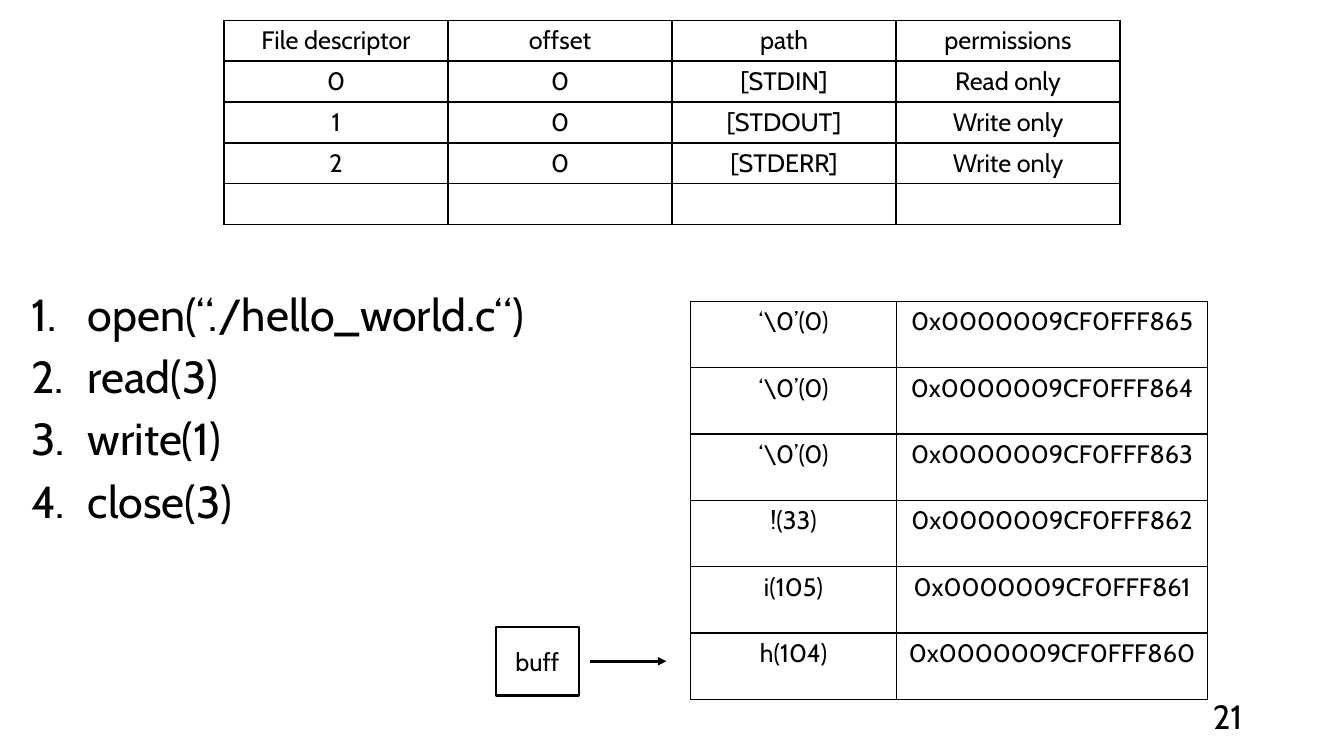
from lxml import etree
from pptx import Presentation
from pptx import util as u
from pptx.dml.color import RGBColor
from pptx.enum import shapes, text
from pptx.oxml.ns import qn

FONT, BLACK, WHITE = "Cabin", "000000", "FFFFFF"
WIDTH, HEIGHT = 13.33, 7.5

FILE_TABLE = [
    ("File descriptor", "offset", "path", "permissions"),
    ("0", "0", "[STDIN]", "Read only"),
    ("1", "0", "[STDOUT]", "Write only"),
    ("2", "0", "[STDERR]", "Write only"),
    ("", "", "", ""),
]
BUFFER = ["‘\\0’(0)", "‘\\0’(0)", "‘\\0’(0)", "!(33)", "i(105)", "h(104)"]
TOP_ADDRESS = 0x9CF0FFF865
CALLS = ["open(“./hello_world.c“)", "read(3)", "write(1)", "close(3)"]
PAGE = "21"


def rgb(color):
    return RGBColor.from_string(color)


def box(*lengths):
    return [u.Inches(n) for n in lengths]


def style(p, size, align):
    p.font.name, p.font.size = FONT, u.Pt(size)
    p.font.color.rgb = rgb(BLACK)
    p.alignment = align


def add_border(cell, side):
    ln = etree.SubElement(cell._tc.get_or_add_tcPr(), qn(f"a:{side}"), w=str(u.Pt(1)))
    fill = etree.SubElement(ln, qn("a:solidFill"))
    etree.SubElement(fill, qn("a:srgbClr"), val=BLACK)


def add_grid(slide, rows, left, top, widths, row_height):
    """Add a plain table with thin black borders and centred text."""
    frame = slide.shapes.add_table(
        len(rows), len(widths), *box(left, top, sum(widths), row_height * len(rows)))
    table = frame.table
    table.first_row = table.horz_banding = False
    for column, width in zip(table.columns, widths):
        column.width = u.Inches(width)
    for r, row in enumerate(rows):
        table.rows[r].height = u.Inches(row_height)
        for c, value in enumerate(row):
            cell = table.cell(r, c)
            cell.text = value
            style(cell.text_frame.paragraphs[0], 18, text.PP_ALIGN.CENTER)
            for side in ("lnL", "lnR", "lnT", "lnB"):
                add_border(cell, side)
            cell.fill.solid()
            cell.fill.fore_color.rgb = rgb(WHITE)


def add_calls(body):
    body.left, body.top, body.width, body.height = box(0.21, 2.85, 5.29, HEIGHT - 2.85)
    tf = body.text_frame
    tf.auto_size = text.MSO_AUTO_SIZE.NONE
    tf.text = "\n".join(CALLS)
    indent = u.Inches(0.56)
    for p in tf.paragraphs:
        style(p, 32, text.PP_ALIGN.LEFT)
        p.line_spacing, p.space_before = 0.9, u.Pt(10)
        pPr = p._p.get_or_add_pPr()
        pPr.set("marL", str(indent))
        pPr.set("indent", str(-indent))
        number = etree.Element(qn("a:buAutoNum"), type="arabicPeriod")
        pPr.find(qn("a:defRPr")).addprevious(number)


def add_pointer(slide, left, middle):
    """Add the buff box and its arrow to the lowest buffer row."""
    width, height = 0.82, 0.68
    sp = slide.shapes.add_shape(
        shapes.MSO_SHAPE.RECTANGLE, *box(left, middle - height / 2, width, height))
    sp.shadow.inherit = False
    sp.fill.solid()
    sp.fill.fore_color.rgb = rgb(WHITE)
    sp.line.color.rgb, sp.line.width = rgb(BLACK), u.Pt(1.5)
    tf = sp.text_frame
    tf.text = "buff"
    tf.vertical_anchor = text.MSO_ANCHOR.MIDDLE
    style(tf.paragraphs[0], 18, text.PP_ALIGN.CENTER)

    start = left + width + 0.11
    arrow = slide.shapes.add_connector(
        shapes.MSO_CONNECTOR.STRAIGHT, *box(start, middle, start + 0.76, middle))
    arrow.line.color.rgb, arrow.line.width = rgb(BLACK), u.Pt(2)
    etree.SubElement(arrow.line._get_or_add_ln(), qn("a:tailEnd"), type="triangle")
    etree.SubElement(arrow._element.spPr, qn("a:effectLst"))


def add_page_number(slide):
    tf = slide.shapes.add_textbox(*box(9.42, 6.9, 3, 0.4)).text_frame
    tf.word_wrap = True
    tf.vertical_anchor = text.MSO_ANCHOR.MIDDLE
    tf.text = PAGE
    style(tf.paragraphs[0], 24, text.PP_ALIGN.RIGHT)


def main():
    prs = Presentation()
    prs.slide_width, prs.slide_height = box(WIDTH, HEIGHT)
    slide = prs.slides.add_slide(prs.slide_layouts[1])
    title = slide.shapes.title._element
    title.getparent().remove(title)

    add_page_number(slide)
    column = WIDTH / 6
    add_grid(slide, FILE_TABLE, column, 0.2, [column] * 4, 0.406)
    memory = [(value, f"0x{TOP_ADDRESS - i:016X}") for i, value in enumerate(BUFFER)]
    add_grid(slide, memory, 6.85, 2.99, [2.04, 3.09], 0.658)
    add_pointer(slide, 4.92, 6.56)
    add_calls(slide.placeholders[1])
    prs.save("out.pptx")


if __name__ == "__main__":
    main()
